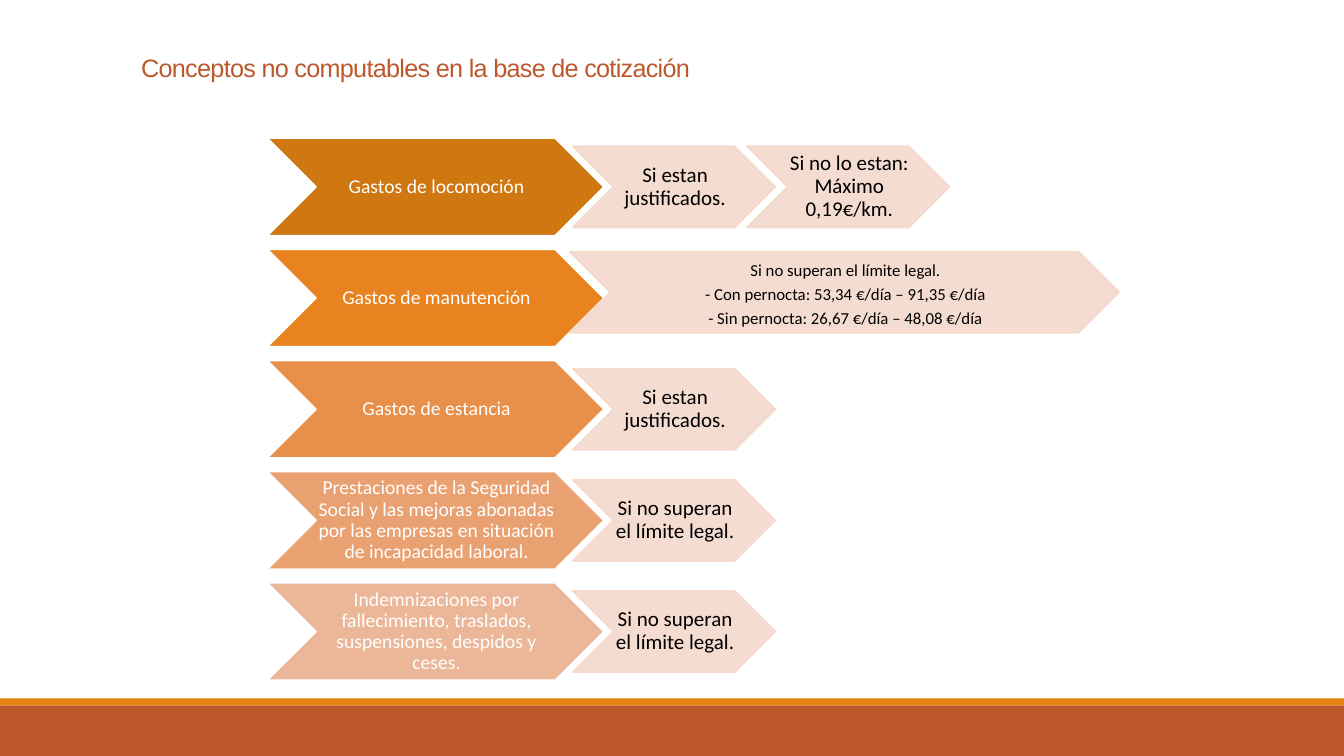
from lxml.etree import SubElement
from pptx import Presentation
from pptx.dml.color import RGBColor
from pptx.enum.shapes import MSO_SHAPE
from pptx.enum.text import MSO_ANCHOR, PP_ALIGN
from pptx.oxml.ns import qn
from pptx.util import Inches, Pt

COLORS = {
    "rust": "BD582C", "orange": "E48312", "peach": "F5D9CC",
    "white": "FFFFFF", "black": "000000",
    "row1": "CF7710", "row2": "E88320", "row3": "E8904A",
    "row4": "E9A172", "row5": "ECB698",
}

JUSTIFIED = ["Si estan justificados."]
LEGAL_LIMIT = ["Si no superan el límite legal."]
ALLOWANCE = LEGAL_LIMIT + [
    "- Con pernocta: 53,34 €/día – 91,35 €/día",
    "- Sin pernocta: 26,67 €/día – 48,08 €/día",
]
ROWS = [
    ("Gastos de locomoción",
     [JUSTIFIED, ["Si no lo estan: Máximo 0,19€/km."]]),
    ("Gastos de manutención", [ALLOWANCE]),
    ("Gastos de estancia", [JUSTIFIED]),
    ("Prestaciones de la Seguridad Social y las mejoras abonadas por las "
     "empresas en situación de incapacidad laboral.", [LEGAL_LIMIT]),
    ("Indemnizaciones por fallecimiento, traslados, suspensiones, despidos "
     "y ceses.", [LEGAL_LIMIT]),
]


def rgb(name):
    return RGBColor.from_string(COLORS[name])


def add_filled(s, kind, box, fill):
    sp = s.shapes.add_shape(kind, *(Inches(v) for v in box))
    sp.shadow.inherit = False
    sp.fill.solid()
    sp.fill.fore_color.rgb = rgb(fill)
    sp.line.fill.background()
    return sp


def set_alpha(sp, percent):
    for color in sp._element.spPr.iter(qn("a:srgbClr")):
        SubElement(color, qn("a:alpha")).set("val", str(percent * 1000))


def add_chevron(s, box, fill, line, lines, size, color):
    sp = add_filled(s, MSO_SHAPE.CHEVRON, box, fill)
    sp.line.color.rgb = rgb(line)
    sp.line.width = Pt(1.25)
    tf = sp.text_frame
    tf.word_wrap = True
    tf.vertical_anchor = MSO_ANCHOR.MIDDLE
    tf.margin_left, tf.margin_right = Inches(0.02), 0
    tf.margin_top = tf.margin_bottom = Inches(0.01)
    for i, text in enumerate(lines):
        p = tf.add_paragraph() if i else tf.paragraphs[0]
        p.alignment = PP_ALIGN.CENTER
        p.line_spacing = 0.9
        p.space_before = Pt(0.35 * size) if i else Pt(0)
        r = p.add_run()
        r.text = text
        r.font.name = "Calibri"
        r.font.size = Pt(size)
        r.font.color.rgb = rgb(color)
    return sp


def add_title(s, box):
    title = s.shapes.title
    title.left, title.top, title.width, title.height = (Inches(v) for v in box)
    tf = title.text_frame
    tf.word_wrap = True
    tf.vertical_anchor = MSO_ANCHOR.BOTTOM
    tf.margin_bottom = Inches(0.37)
    p = tf.paragraphs[0]
    p.alignment = PP_ALIGN.LEFT
    p.line_spacing = 0.85
    r = p.add_run()
    r.text = "Conceptos no computables en la base de cotización"
    r.font.name = "Arial"
    r.font.size = Pt(18)
    r.font.color.rgb = rgb("rust")
    r.font._element.set("spc", "-50")


def add_footer_bars(s, x, y, w, h):
    strip = 0.12 * h
    add_filled(s, MSO_SHAPE.RECTANGLE, (x, y + strip, w, h - strip), "rust")
    add_filled(s, MSO_SHAPE.RECTANGLE, (x, y, w, strip), "orange")


def add_concepts(s, x, y, w, h):
    row_h = 0.18 * h
    pitch = (h - row_h) / (len(ROWS) - 1)
    head_w = 3.45 * row_h
    detail_h = 0.83 * row_h
    for i, (concept, details) in enumerate(ROWS):
        top = y + i * pitch
        add_chevron(s, (x, top, head_w, row_h), f"row{i + 1}", "white",
                    [concept], 14, "white")
        for j, lines in enumerate(details):
            wide = len(lines) > 1
            overlap = (0.35 if wide else 0.32) * row_h
            left = x + head_w - overlap + j * 2.15 * detail_h
            width = x + w - left if wide else 2.5 * detail_h
            lift = 0.06 * row_h if wide else 0
            detail_top = top + (row_h - detail_h) / 2 - lift
            sp = add_chevron(s, (left, detail_top, width, detail_h), "peach",
                             "peach", lines, 12 if wide else 15, "black")
            set_alpha(sp, 90)
            if wide:
                sp.text_frame.margin_top = Inches(0.06)


def main():
    prs = Presentation()
    prs.slide_width, prs.slide_height = Inches(13.33), Inches(7.5)
    s = prs.slides.add_slide(prs.slide_layouts[5])
    add_footer_bars(s, 0, 6.93, 13.33, 0.57)
    add_title(s, (1.3, 0, 9.55, 1.19))
    add_concepts(s, 2.65, 1.37, 8.45, 5.38)
    prs.save("out.pptx")


if __name__ == "__main__":
    main()
